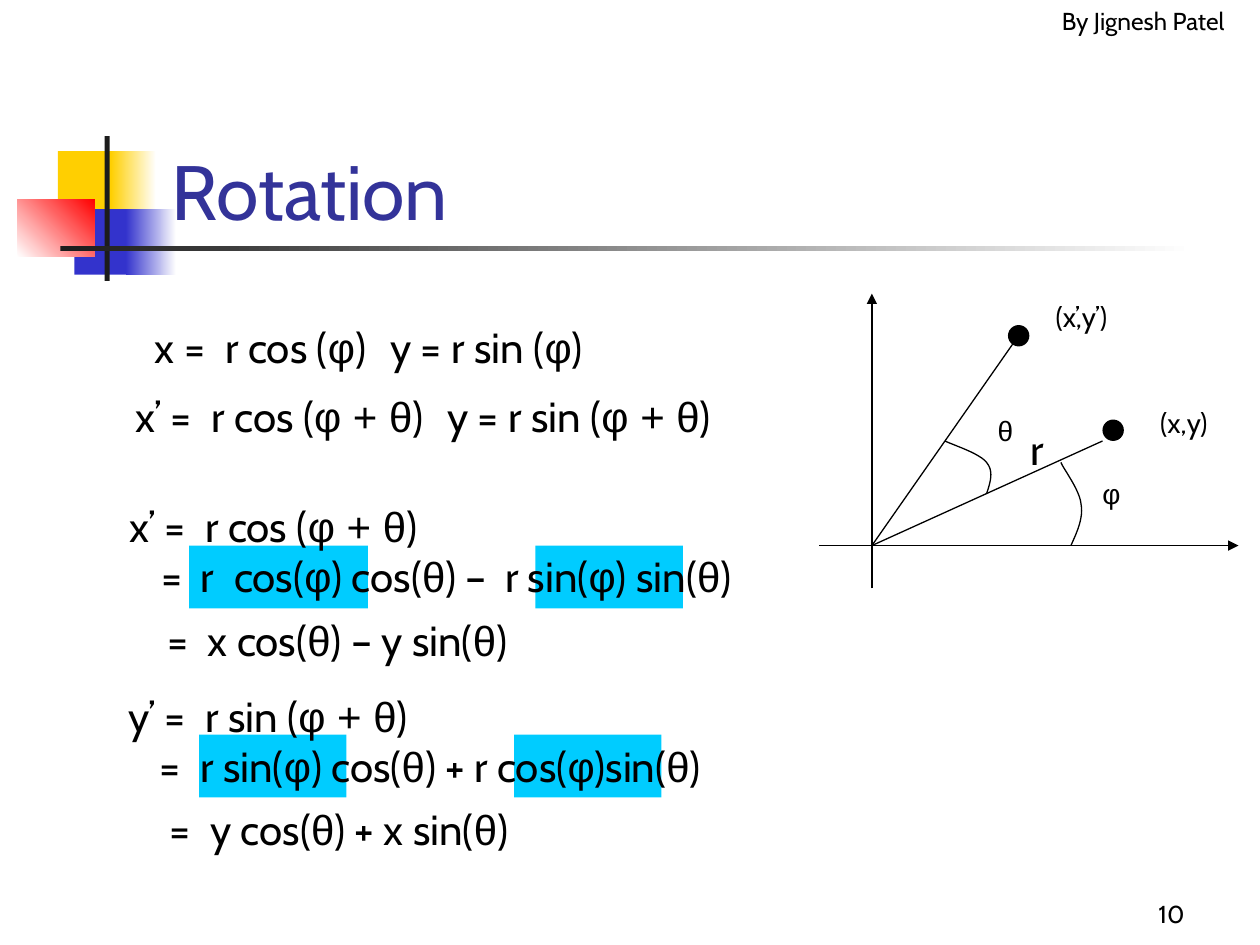
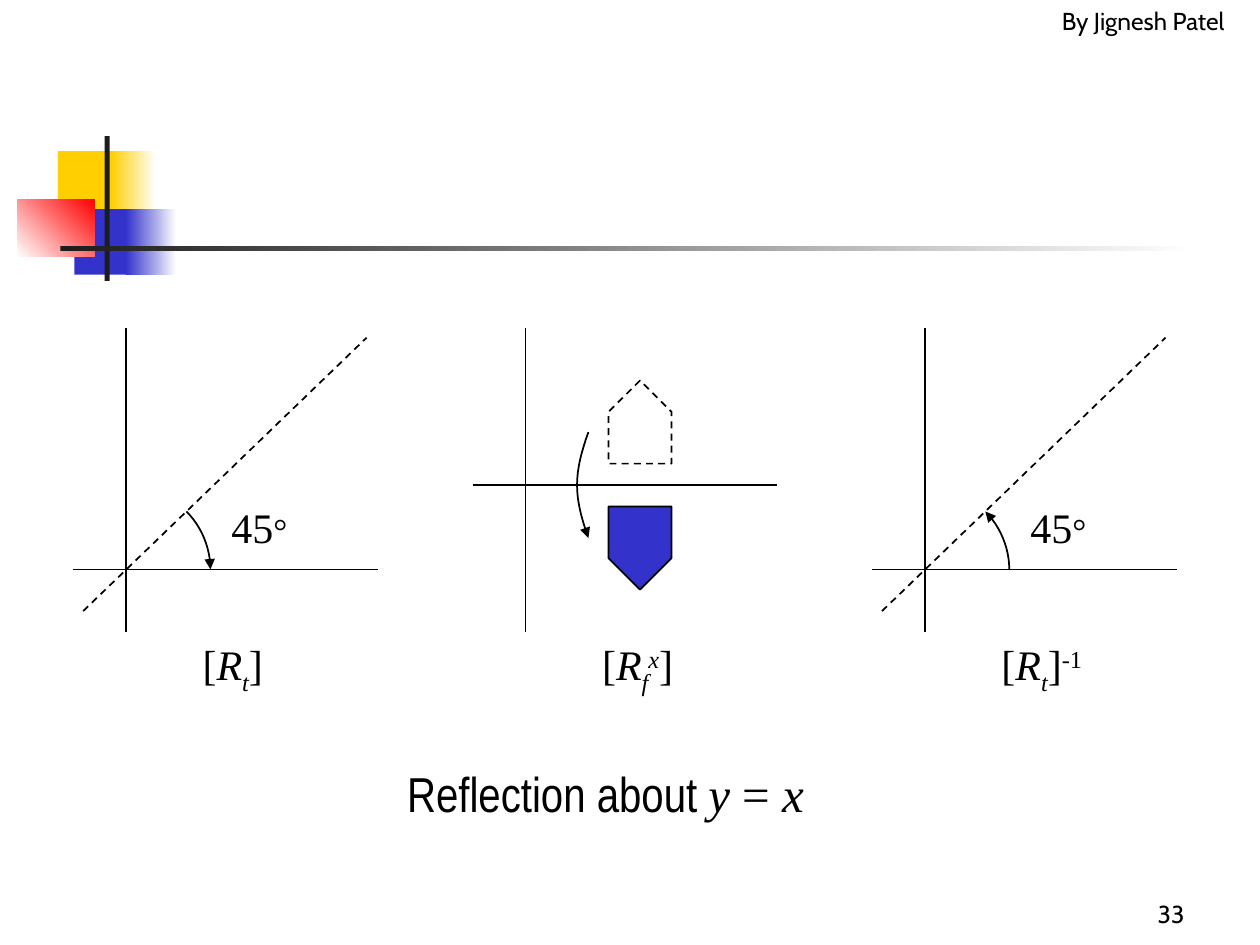
from lxml import etree
from pptx import Presentation
from pptx import util as u
from pptx.dml import color
from pptx.enum import dml, shapes, text
from pptx.oxml import ns

BLACK, WHITE, BLUE = "000000", "FFFFFF", "3333CC"
GOLD, RED, CHARCOAL = "FFCF01", "FF0000", "1C1C1C"
TITLE_BLUE, HIGHLIGHT = "333399", "00CCFF"
SANS, GREEK, SERIF, NARROW = "Cabin", "Arial", "Times New Roman", "Arial Narrow"
RIGHT, CENTER = text.PP_ALIGN.RIGHT, text.PP_ALIGN.CENTER
BOTTOM, MIDDLE = text.MSO_ANCHOR.BOTTOM, text.MSO_ANCHOR.MIDDLE
ITALIC = {"italic": True}
SUB = {"italic": True, "baseline": -25000}
SUPER = {"baseline": 30000}


def rgb(value):
    return color.RGBColor.from_string(value)


def inches(*values):
    return [u.Cm(value * 2.54) for value in values]


def set_values(target, values):
    for name, value in values.items():
        setattr(target, name, value)


def format_span(span, size, name, ink=BLACK, baseline=None, **values):
    set_values(span.font, {"size": u.Pt(size), "name": name, **values})
    span.font.color.rgb = rgb(ink)
    if baseline:
        span.font._element.set("baseline", str(baseline))


def set_tabs(para, stops):
    props = para._p.get_or_add_pPr()
    tabs = etree.SubElement(props, ns.qn("a:tabLst"))
    for stop in inches(*stops):
        etree.SubElement(tabs, ns.qn("a:tab"), pos=str(int(stop)), algn="l")


def add_text(page, place, lines, size, name=SANS, align=None, anchor=None,
             wrap=False, tabs=()):
    box = page.shapes.add_textbox(*inches(*place))
    frame = box.text_frame
    fit = text.MSO_AUTO_SIZE.NONE if wrap else text.MSO_AUTO_SIZE.SHAPE_TO_FIT_TEXT
    set_values(frame, {"word_wrap": wrap, "auto_size": fit, "vertical_anchor": anchor})
    for index, spans in enumerate(lines):
        para = frame.add_paragraph() if index else frame.paragraphs[0]
        para.alignment = align
        if tabs:
            set_tabs(para, tabs[index])
        for words, values in spans:
            span = para.add_run()
            span.text = words
            format_span(span, **{"size": size, "name": name, **values})


def add_label(page, place, words, size=16, name=SANS, **options):
    add_text(page, place, [[(words, {})]], size, name, **options)


def add_equations(page, place, *rows):
    lines, tabs = [], []
    for formula, stops in rows:
        lines.append([(part, {"name": GREEK if index % 2 else SANS})
                      for index, part in enumerate(formula.split("|"))])
        tabs.append(stops)
    add_text(page, place, lines, 24, wrap=True, tabs=tabs)


def add_block(page, place, fill, fade=None, angle=0, kind=shapes.MSO_SHAPE.RECTANGLE):
    block = page.shapes.add_shape(kind, *inches(*place))
    block.shadow.inherit = False
    block.line.fill.background()
    if fade:
        block.fill.gradient()
        block.fill.gradient_angle = angle
        for stop, ink in zip(block.fill.gradient_stops, (fill, fade)):
            stop.color.rgb = rgb(ink)
    else:
        block.fill.solid()
        block.fill.fore_color.rgb = rgb(fill)


def style_line(shape, width, dashed=False, arrow=False):
    line = shape.line
    line.color.rgb = rgb(BLACK)
    line.width = u.Pt(width)
    if dashed:
        line.dash_style = dml.MSO_LINE.DASH
    if arrow:
        outline = shape._element.spPr.find(ns.qn("a:ln"))
        etree.SubElement(outline, ns.qn("a:tailEnd"), type="triangle")


def add_line(page, start, end, width, **options):
    line = page.shapes.add_connector(shapes.MSO_CONNECTOR.STRAIGHT,
                                     *inches(*start, *end))
    style_line(line, width, **options)
    etree.SubElement(line._element.spPr, ns.qn("a:effectLst"))


def add_outline(page, points, width, close=False, fill=None, **options):
    corners = [inches(*point) for point in points]
    builder = page.shapes.build_freeform(*corners[0])
    builder.add_line_segments(corners[1:], close=close)
    outline = builder.convert_to_shape()
    outline.shadow.inherit = False
    if fill:
        outline.fill.solid()
        outline.fill.fore_color.rgb = rgb(fill)
    else:
        outline.fill.background()
    style_line(outline, width, **options)


def curve(*knots, steps=12):
    points = [knots[0]]
    for first in range(0, len(knots) - 1, 3):
        a, b, c, d = knots[first:first + 4]
        for step in range(1, steps + 1):
            t = step / steps
            s = 1 - t
            points.append([s**3 * p + 3 * s * s * t * q + 3 * s * t * t * v + t**3 * w
                           for p, q, v, w in zip(a, b, c, d)])
    return points


def add_page(deck, layout, number):
    page = deck.slides.add_slide(deck.slide_layouts[layout])
    add_block(page, (0.46, 1.2, 0.48, 0.52), GOLD)
    add_block(page, (0.88, 1.2, 0.36, 0.52), GOLD, WHITE)
    add_block(page, (0.59, 1.66, 0.46, 0.52), BLUE)
    add_block(page, (1, 1.66, 0.4, 0.52), BLUE, WHITE)
    add_block(page, (0.14, 1.58, 0.61, 0.46), WHITE, RED, angle=45)
    add_block(page, (0.83, 1.08, 0.04, 1.15), CHARCOAL)
    add_block(page, (0.48, 1.95, 9, 0.04), CHARCOAL, WHITE)
    add_label(page, (8.33, 0, 1.67, 0.5), "By Jignesh Patel", 14, wrap=True)
    add_label(page, (7.42, 6.92, 2.08, 0.5), number, 14, align=RIGHT,
              anchor=BOTTOM, wrap=True)
    return page


def add_title(page, words):
    title = page.shapes.title
    left, top, width, height = inches(1.26, 0.67, 8.52, 1.25)
    set_values(title, {"left": left, "top": top, "width": width, "height": height})
    title.text_frame.vertical_anchor = BOTTOM
    para = title.text_frame.paragraphs[0]
    para.alignment = text.PP_ALIGN.LEFT
    span = para.add_run()
    span.text = words
    format_span(span, 44, SANS, TITLE_BLUE)


def add_rotation_diagram(page):
    origin = (6.92, 4.33)
    add_line(page, (6.5, 4.33), (9.83, 4.33), 0.75, arrow=True)
    add_line(page, (6.92, 4.67), (6.92, 2.33), 0.75, arrow=True)
    for end, dot in (((8.75, 3.5), (8.75, 3.33)), ((8.08, 2.67), (8, 2.58))):
        add_line(page, origin, end, 0.75)
        add_block(page, (*dot, 0.17, 0.17), BLACK, kind=shapes.MSO_SHAPE.OVAL)
    theta_arc = curve((7.83, 3.92), (7.86, 3.83), (7.89, 3.74), (7.83, 3.67),
                      (7.78, 3.6), (7.56, 3.53), (7.5, 3.5))
    phi_arc = curve((8.5, 4.33), (8.55, 4.22), (8.6, 4.11), (8.58, 4),
                    (8.57, 3.89), (8.44, 3.72), (8.42, 3.67))
    for arc in (theta_arc, phi_arc):
        add_outline(page, arc, 0.75)
    add_label(page, (9.11, 3.17, 0.68, 0.37), "(x,y)")
    add_label(page, (8.28, 2.33, 0.76, 0.37), "(x’,y’)")
    add_label(page, (7.82, 3.23, 0.31, 0.37), "θ", name=GREEK)
    add_label(page, (8.65, 3.73, 0.31, 0.37), "φ", name=GREEK)
    add_label(page, (8.08, 3.31, 0.34, 0.5), "r", 24)


def build_rotation(deck):
    page = add_page(deck, 5, "10")
    add_title(page, "Rotation")
    for left, top, width in ((4.08, 5.83, 1.17), (1.58, 5.83, 1.17),
                             (4.25, 4.33, 1.17), (1.5, 4.33, 1.42)):
        add_block(page, (left, top, width, 0.5), HIGHLIGHT)
    add_rotation_diagram(page)
    add_equations(page, (1.13, 2.5, 3.93, 0.5),
                  ("x =\tr cos (|φ|)\ty = r sin (|φ|)", (0.56, 1.87)))
    add_equations(page, (0.98, 3.05, 5.39, 0.5),
                  ("x’ =\tr cos (|φ + θ|)\ty = r sin (|φ + θ|)", (0.6, 2.47)))
    add_equations(page, (0.93, 3.92, 5.51, 0.9),
                  ("x’ =\tr cos (|φ + θ|)", (0.6,)),
                  ("\t=\tr\tcos(|φ|) cos(|θ|) –\tr sin(|φ|) sin(|θ|)",
                   (0.25, 0.56, 0.83, 2.98)))
    add_equations(page, (1.23, 4.83, 3.31, 0.5),
                  ("=\tx cos(|θ|) – y sin(|θ|)", (0.32,)))
    add_equations(page, (0.92, 5.43, 5.28, 0.9),
                  ("y’ =\tr sin (|φ + θ|)", (0.61,)),
                  ("\t=\tr sin(|φ|) cos(|θ|) + r cos(|φ|)sin(|θ|)", (0.25, 0.57)))
    add_equations(page, (1.25, 6.33, 3.34, 0.5),
                  ("=\ty cos(|θ|) + x sin(|θ|)", (0.32,)))


def add_axes(page, left, height):
    add_line(page, (left, height), (left + 2.42, height), 1)
    add_line(page, (left + 0.42, 5.02), (left + 0.42, 2.6), 1)


def add_turn(page, left, counterclockwise):
    add_axes(page, left, 4.52)
    add_line(page, (left + 0.08, 4.85), (left + 2.33, 2.68), 1, dashed=True)
    arc = curve((left + 0.9, 4.06), (left + 1.02, 4.18),
                (left + 1.09, 4.35), (left + 1.09, 4.52))
    add_outline(page, arc[::-1] if counterclockwise else arc, 1, arrow=True)
    add_text(page, (left + 0.98, 3.93, 1, 0.5), [[("45", {}), ("°", {"size": 20})]],
             24, SERIF, CENTER, MIDDLE, wrap=True)


def add_flip(page, left):
    add_axes(page, left, 3.85)
    house = [(5.08, 3.02), (4.83, 3.27), (4.83, 3.68), (5.33, 3.68), (5.33, 3.27)]
    mirrored = [(x, 7.7 - y) for x, y in house]
    add_outline(page, house, 1, close=True, dashed=True)
    add_outline(page, mirrored, 1, close=True, fill=BLUE)
    add_outline(page, curve((4.67, 3.43), (4.62, 3.57), (4.58, 3.71), (4.58, 3.85),
                            (4.58, 3.99), (4.62, 4.13), (4.67, 4.27)), 1, arrow=True)


def build_reflection(deck):
    page = add_page(deck, 6, "33")
    lefts = [0.58 + 3.17 * column for column in range(3)]
    add_turn(page, lefts[0], False)
    add_flip(page, lefts[1])
    add_turn(page, lefts[2], True)
    opening, closing = [("[", {}), ("R", ITALIC)], [("]", {})]
    matrices = (
        ([("t", SUB)], []),
        ([("f", SUB), ("x", {**ITALIC, **SUPER})], []),
        ([("t", SUB)], [("-1", SUPER)]),
    )
    for left, (marks, power) in zip(lefts, matrices):
        add_text(page, (left + 0.93, 5.02, 1, 0.56),
                 [opening + marks + closing + power], 24, SERIF, wrap=True)
    add_text(page, (3.03, 6.01, 3.55, 0.57),
             [[("Reflection about ", {"name": NARROW}), ("y", ITALIC),
               (" = ", {}), ("x", ITALIC)]], 28, SERIF, CENTER, MIDDLE, wrap=True)


def main():
    deck = Presentation()
    deck.slide_width, deck.slide_height = inches(10, 7.5)
    build_rotation(deck)
    build_reflection(deck)
    deck.save("out.pptx")


if __name__ == "__main__":
    main()
